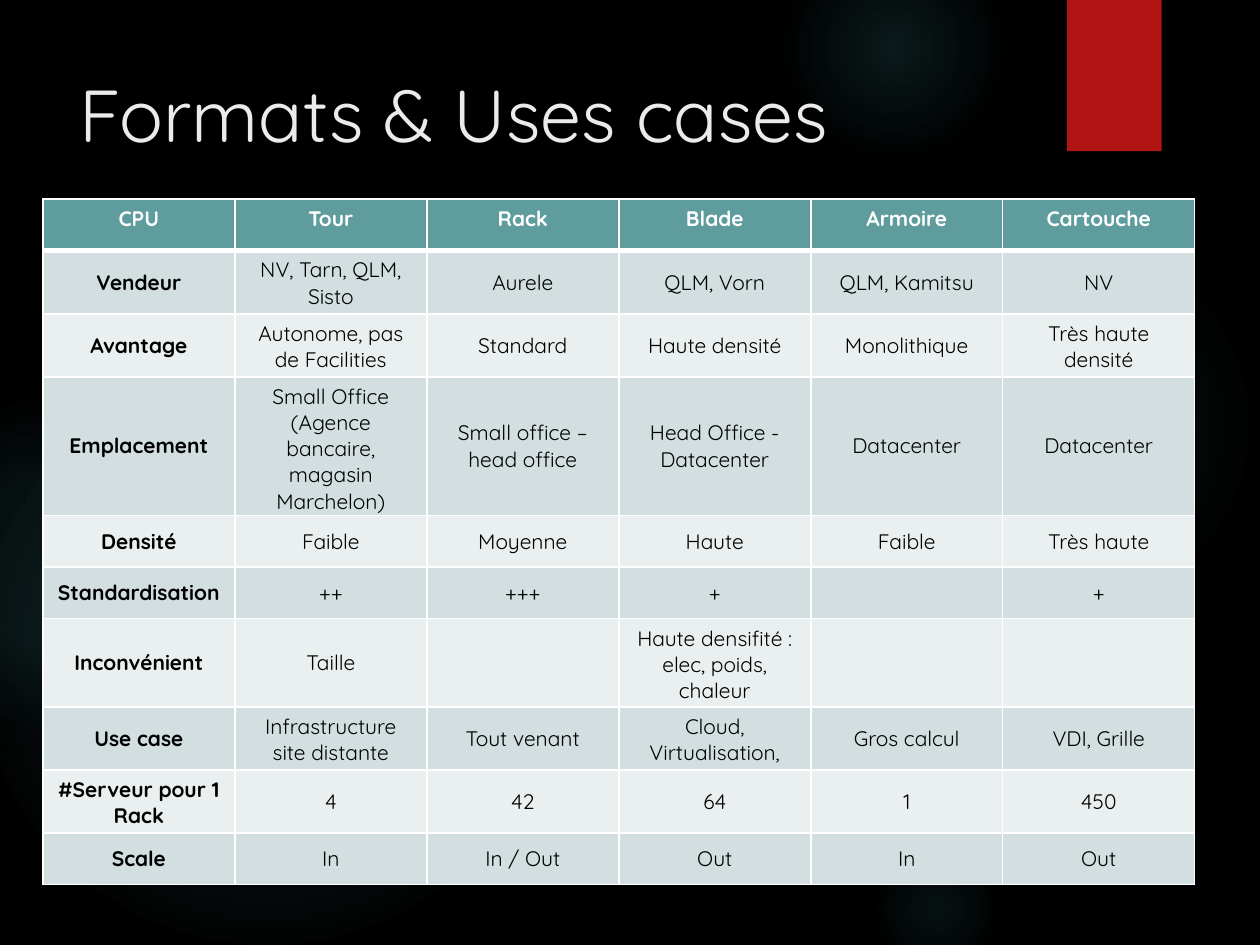
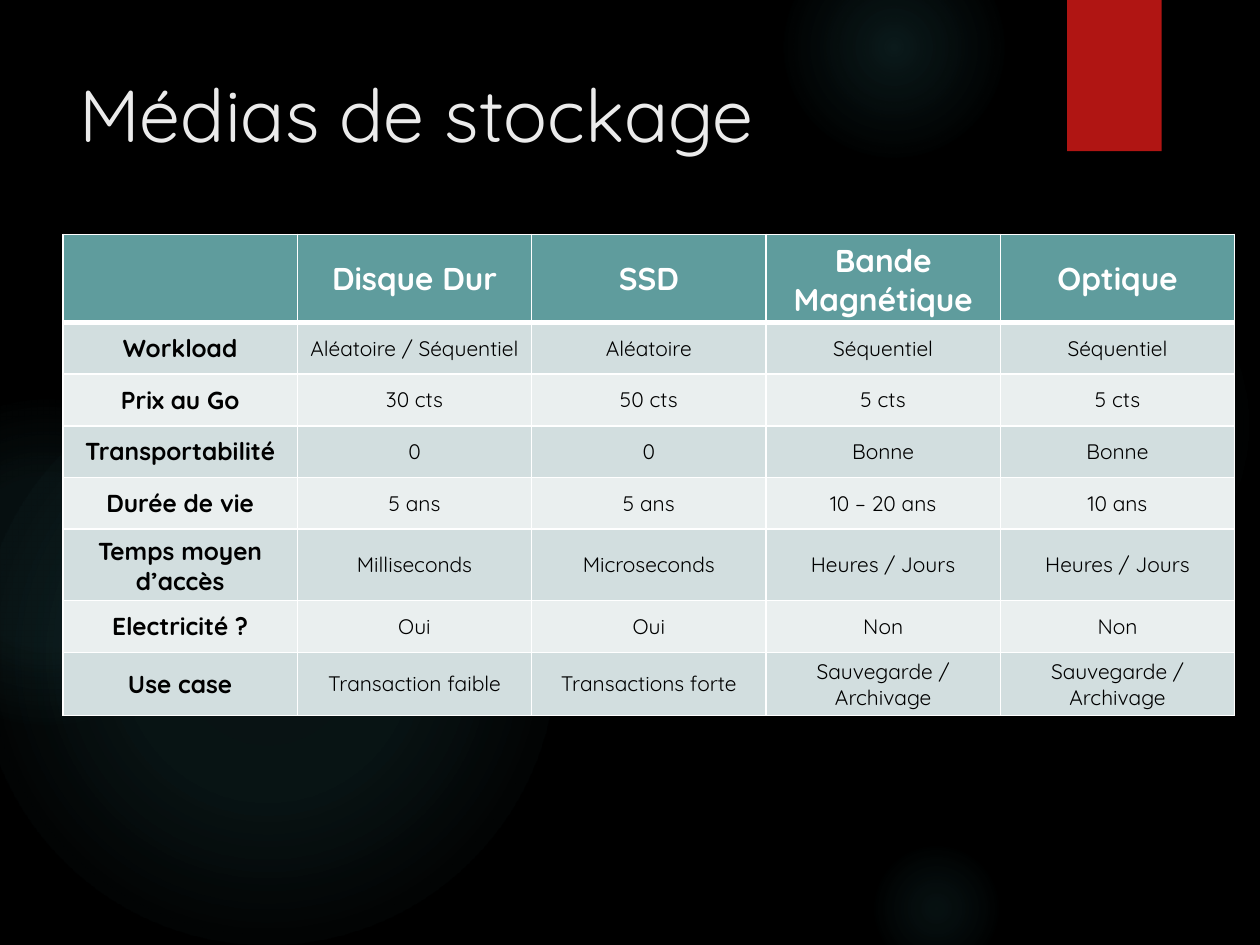
from lxml import etree
from pptx import Presentation
from pptx import util as u
from pptx.dml import color
from pptx.enum import shapes, text
from pptx.oxml import ns

COLORS = {
    "background": "000000", "title": "EBEBEB", "ribbon": "B01513",
    "glow": "50B9C1", "header": "5F9C9D", "band_dark": "D2DEDF",
    "band_light": "EAEFEF", "white": "FFFFFF", "ink": "000000",
}
FONT = "Quicksand"
ROW_HEIGHT = 0.41

# left, top, diameter, then gradient stops as (position %, opacity %)
GLOWS = [
    (6.89, 1.83, 3.08, [(0, 7), (36, 6), (69, 0)]),
    (6.22, -0.5, 1.75, [(0, 14), (36, 7), (73, 0)]),
    (6.89, 6.67, 1.08, [(0, 9), (36, 5), (66, 0)]),
    (-0.17, 2.92, 4.58, [(0, 11), (36, 10), (75, 0)]),
    (-0.92, 3.17, 2.58, [(0, 8), (36, 8), (72, 0)]),
]

SERVER_FORMATS = [
    ["CPU", "Tour", "Rack", "Blade", "Armoire", "Cartouche"],
    ["Vendeur", "NV, Tarn, QLM, Sisto", "Aurele", "QLM, Vorn", "QLM, Kamitsu", "NV"],
    ["Avantage", "Autonome, pas de Facilities", "Standard", "Haute densité",
     "Monolithique", "Très haute densité"],
    ["Emplacement", "Small Office (Agence bancaire, magasin Marchelon)",
     "Small office – head office", "Head Office - Datacenter", "Datacenter", "Datacenter"],
    ["Densité", "Faible", "Moyenne", "Haute", "Faible", "Très haute"],
    ["Standardisation", "++", "+++", "+", "", "+"],
    ["Inconvénient", "Taille", "", "Haute densifité : elec, poids, chaleur", "", ""],
    ["Use case", "Infrastructure site distante", "Tout venant",
     "Cloud, Virtualisation,", "Gros calcul", "VDI, Grille"],
    ["#Serveur pour 1 Rack", "4", "42", "64", "1", "450"],
    ["Scale", "In", "In / Out", "Out", "In", "Out"],
]

STORAGE_MEDIA = [
    ["", "Disque Dur", "SSD", "Bande Magnétique", "Optique"],
    ["Workload", "Aléatoire / Séquentiel", "Aléatoire", "Séquentiel", "Séquentiel"],
    ["Prix au Go", "30 cts", "50 cts", "5 cts", "5 cts"],
    ["Transportabilité", "0", "0", "Bonne", "Bonne"],
    ["Durée de vie", "5 ans", "5 ans", "10 – 20 ans", "10 ans"],
    ["Temps moyen d’accès", "Milliseconds", "Microseconds",
     "Heures / Jours", "Heures / Jours"],
    ["Electricité ?", "Oui", "Oui", "Non", "Non"],
    ["Use case", "Transaction faible", "Transactions forte",
     "Sauvegarde / Archivage", "Sauvegarde / Archivage"],
]


def rgb(name):
    return color.RGBColor.from_string(COLORS[name])


def add_xml(parent, tag, **attributes):
    """Append a DrawingML child element."""
    values = {key: str(value) for key, value in attributes.items()}
    return etree.SubElement(parent, ns.qn(f"a:{tag}"), values)


def add_color(parent, value, opacity=100):
    tint = add_xml(parent, "srgbClr", val=value)
    if opacity < 100:
        add_xml(tint, "alpha", val=opacity * 1000)


class SlideBuilder:
    def __init__(self):
        self.deck = Presentation()
        self.deck.slide_width = u.Inches(10)
        self.deck.slide_height = u.Inches(7.5)
        self.page = None

    def start_page(self, title):
        self.page = self.deck.slides.add_slide(self.deck.slide_layouts[6])
        backdrop = self.page.background.fill
        backdrop.solid()
        backdrop.fore_color.rgb = rgb("background")
        for left, top, diameter, stops in GLOWS:
            self.glow(left, top, diameter, stops)
        self.ribbon()
        self.title(title)

    def shape(self, kind, left, top, width, height):
        shape = self.page.shapes.add_shape(
            kind, u.Inches(left), u.Inches(top), u.Inches(width), u.Inches(height))
        shape.shadow.inherit = False
        shape.line.fill.background()
        return shape

    def glow(self, left, top, diameter, stops):
        disc = self.shape(shapes.MSO_SHAPE.OVAL, left, top, diameter, diameter)
        disc.fill.gradient()
        gradient = disc._element.spPr.find(ns.qn("a:gradFill"))
        for child in list(gradient):
            gradient.remove(child)
        stop_list = add_xml(gradient, "gsLst")
        for position, opacity in stops:
            stop = add_xml(stop_list, "gs", pos=position * 1000)
            add_color(stop, COLORS["glow"], opacity)
        circle = add_xml(gradient, "path", path="circle")
        add_xml(circle, "fillToRect", l=50000, t=50000, r=50000, b=50000)

    def ribbon(self):
        ribbon = self.shape(shapes.MSO_SHAPE.RECTANGLE, 8.47, 0, 0.75, 1.2)
        ribbon.fill.solid()
        ribbon.fill.fore_color.rgb = rgb("ribbon")
        effects = ribbon._element.spPr.find(ns.qn("a:effectLst"))
        shadow = add_xml(effects, "outerShdw", blurRad=u.Pt(3), dist=u.Pt(2),
                         dir=90 * 60000, rotWithShape=0)
        add_color(shadow, "000000", 45)

    def span(self, para, content, size, tint, bold=False):
        span = para.add_run()
        span.text = content
        span.font.name = FONT
        span.font.size = u.Pt(size)
        span.font.bold = bold
        span.font.color.rgb = rgb(tint)

    def title(self, content):
        box = self.page.shapes.add_textbox(
            u.Inches(0.53), u.Inches(0.5), u.Inches(7.72), u.Inches(1.53))
        box.text_frame.word_wrap = True
        self.span(box.text_frame.paragraphs[0], content, 42, "title")

    def borders(self, cell, top, bottom):
        properties = cell._tc.get_or_add_tcPr()
        for side, width in (("L", 1), ("R", 1), ("T", top), ("B", bottom)):
            line = add_xml(properties, f"ln{side}", w=u.Pt(width))
            add_color(add_xml(line, "solidFill"), COLORS["white"])

    def table(self, rows, left, top, column_width, height, header_size, label_size,
              header_anchor=text.MSO_ANCHOR.MIDDLE):
        columns = len(rows[0])
        frame = self.page.shapes.add_table(
            len(rows), columns, u.Inches(left), u.Inches(top),
            u.Inches(column_width * columns), u.Inches(ROW_HEIGHT * len(rows)))
        grid = frame.table
        for column in grid.columns:
            column.width = u.Inches(column_width)
        for y, row in enumerate(rows):
            grid.rows[y].height = u.Inches(ROW_HEIGHT)
            header = y == 0
            band = "header" if header else "band_dark" if y % 2 else "band_light"
            for x, content in enumerate(row):
                cell = grid.cell(y, x)
                # The header is separated from the body by a thick rule
                self.borders(cell, 3 if y == 1 else 1, 3 if header else 1)
                cell.fill.solid()
                cell.fill.fore_color.rgb = rgb(band)
                cell.vertical_anchor = header_anchor if header else text.MSO_ANCHOR.MIDDLE
                para = cell.text_frame.paragraphs[0]
                para.alignment = text.PP_ALIGN.CENTER
                if content:
                    size = header_size if header else label_size if x == 0 else 12
                    self.span(para, content, size, "white" if header else "ink",
                              bold=header or x == 0)
        frame.height = u.Inches(height)


def main():
    builder = SlideBuilder()

    # Server formats
    builder.start_page("Formats & Uses cases")
    builder.table(SERVER_FORMATS, 0.34, 1.58, 1.524, 5.42, header_size=12,
                  label_size=12, header_anchor=text.MSO_ANCHOR.TOP)

    # Storage media
    builder.start_page("Médias de stockage")
    builder.table(STORAGE_MEDIA, 0.5, 1.86, 1.86, 3.89, header_size=18, label_size=14)

    builder.deck.save("out.pptx")


if __name__ == "__main__":
    main()
